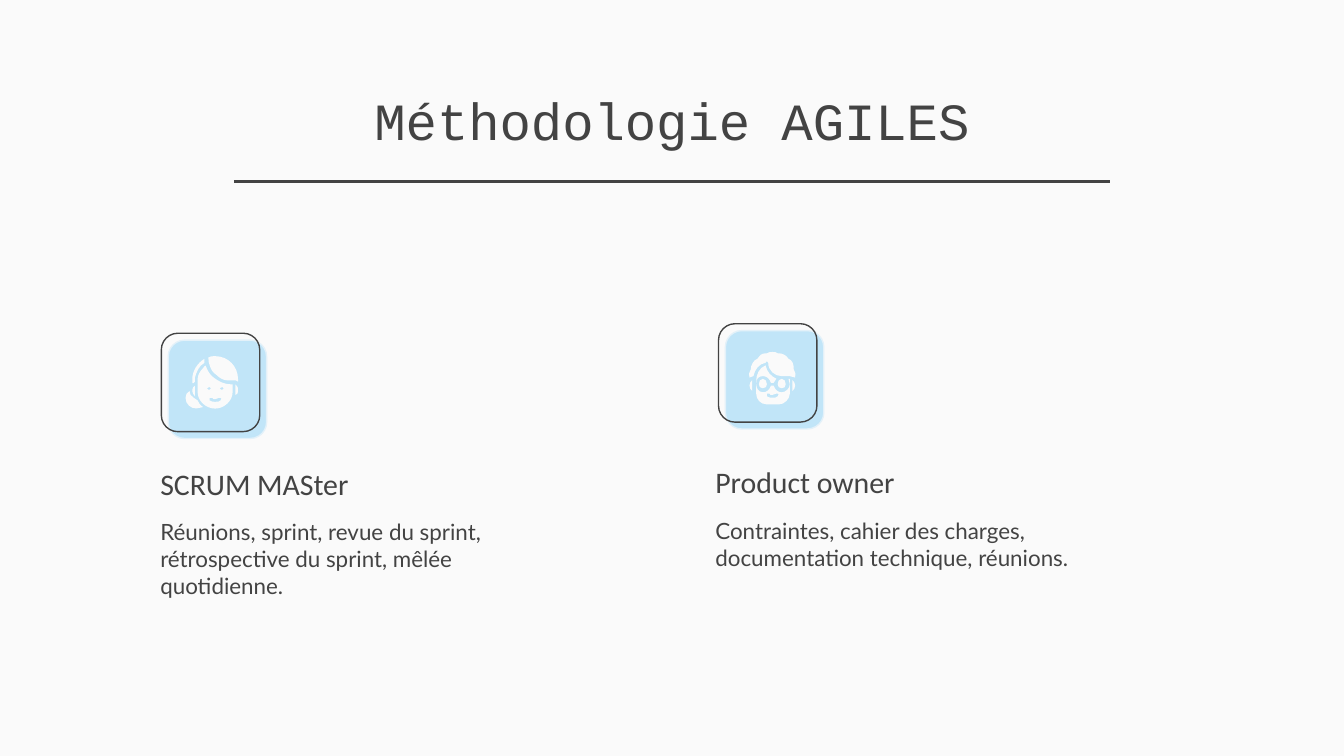
from lxml import etree
from pptx import Presentation
from pptx.dml.color import RGBColor
from pptx.enum.shapes import MSO_CONNECTOR, MSO_SHAPE
from pptx.enum.text import MSO_ANCHOR, MSO_AUTO_SIZE, PP_ALIGN
from pptx.oxml.ns import qn
from pptx.util import Cm, Pt

ROUNDED = MSO_SHAPE.ROUNDED_RECTANGLE
STRAIGHT = MSO_CONNECTOR.STRAIGHT
TOP, BOTTOM = MSO_ANCHOR.TOP, MSO_ANCHOR.BOTTOM
LEFT, CENTER = PP_ALIGN.LEFT, PP_ALIGN.CENTER
NO_FIT = MSO_AUTO_SIZE.NONE

INK, PAPER, SKY, EDGE = "434343", "FAFAFA", "C1E5F8", "E3F1F9"
TILE = 1.86
UNIT = 0.0254
FINE = 100
COMMANDS = {"M": ("a:moveTo", 1), "L": ("a:lnTo", 1), "C": ("a:cubicBezTo", 3)}

SMILE = ("M 43 52 L 44 52 C 45 52 45 53 44 54 C 43 55 42 55 40 55 C 39 55 37 55 36 54 "
         "C 36 53 36 52 36 52 L 38 52 C 38 53 39 53 40 53 C 41 53 42 53 43 52")
EYE = ("M 36 40 C 36 40 37 41 37 41 C 37 42 36 42 36 42 L 35 42 C 35 42 34 42 34 41 "
       "C 34 41 35 40 36 40")
LENS = ("M 47 41 C 45 41 44 43 44 45 C 44 47 45 48 47 48 C 49 48 50 47 50 45 "
        "C 50 43 49 41 47 41")


def parse_outline(text, dx=0, dy=0):
    tokens = text.split()
    steps = []
    i = 0
    while i < len(tokens):
        tag, count = COMMANDS[tokens[i]]
        values = [float(t) for t in tokens[i + 1:i + 1 + 2 * count]]
        steps.append((tag, [(px + dx, py + dy) for px, py in zip(values[::2], values[1::2])]))
        i += 1 + 2 * count
    return steps


WOMAN = [
    [parse_outline("M 25 39 C 24 39 23 41 23 42 L 23 43 C 23 44 24 46 25 47")],
    [parse_outline("M 21 43 C 19 44 18 46 18 48 C 18 53 22 56 26 56 C 28 56 29 56 31 55 "
                   "C 29 54 28 52 27 50 L 24 48 C 22 47 21 45 21 43")],
    [parse_outline(EYE), parse_outline(EYE, dx=9.5), parse_outline(SMILE, dy=-4),
     parse_outline("M 33 24 C 33 24 31 25 31 26 C 29 28 27 31 27 34 L 27 44 "
                   "C 27 50 33 56 40 56 C 47 56 53 50 53 44 L 53 38 L 52 38 "
                   "C 47 38 43 36 39 33 C 36 31 34 27 33 24")],
    [parse_outline("M 55 38 L 55 46 C 57 46 57 44 57 42 C 57 41 57 39 55 38")],
    [parse_outline("M 40 17 C 38 17 36 17 35 18 C 35 20 35 22 36 24 C 37 27 38 29 41 31 "
                   "C 43 33 46 35 49 35 L 55 35 C 56 35 57 36 57 36 L 57 34 "
                   "C 57 25 50 17 40 17")],
    [parse_outline("M 32 19 C 27 22 23 28 23 34 L 23 37 L 24 37 L 25 36 L 25 33 "
                   "C 26 29 28 24 32 22 C 32 21 32 20 32 19")],
]
MAN = [
    [parse_outline(LENS)],
    [parse_outline("M 40 21 C 39 21 37 21 36 22 L 35 22 C 32 22 30 24 29 26 "
                   "C 26 27 24 31 24 34 C 23 36 22 38 23 40 C 24 40 25 40 26 39 "
                   "C 27 34 30 30 35 29 C 35 28 35 28 36 28 C 36 28 37 29 37 29 "
                   "C 37 35 42 39 47 39 L 53 39 C 54 39 56 40 57 40 C 58 38 57 36 56 34 "
                   "C 56 30 55 27 52 26 C 51 24 48 22 45 22 L 44 22 C 43 21 42 21 40 21")],
    [parse_outline("M 35 31 C 30 33 28 38 28 43 L 28 44 C 28 41 30 39 33 39 "
                   "C 36 39 38 41 39 44 L 41 44 C 42 43 42 42 43 41 C 39 39 36 36 35 31")],
    [parse_outline(LENS, dx=-14)],
    [parse_outline(SMILE),
     parse_outline("M 28 45 L 28 52 C 28 56 31 60 36 60 L 45 60 C 49 60 53 56 53 52 L 53 45 "
                   "C 53 48 50 51 47 51 C 44 51 42 49 41 46 L 39 46 C 38 49 36 51 33 51 "
                   "C 30 51 28 48 28 45")],
    [parse_outline("M 25 42 C 24 43 23 44 23 46 C 23 48 24 49 25 50")],
    [parse_outline("M 55 42 L 55 50 C 56 49 57 48 57 46 C 57 44 56 43 55 42")],
    [parse_outline("M 52 41 C 52 42 53 44 53 45 L 53 41")],
]

ROLES = [
    {"tile": (3.05, 6.3), "text": (2.78, 8.66), "icon": WOMAN, "name": "SCRUM MASter",
     "tasks": "Réunions, sprint, revue du sprint, rétrospective du sprint, mêlée quotidienne."},
    {"tile": (13.58, 6.12), "text": (13.27, 8.63), "icon": MAN, "name": "Product owner",
     "tasks": "Contraintes, cahier des charges, documentation technique, réunions."},
]


def color(value):
    return RGBColor.from_string(value)


def style(sp, fill=None, line=None):
    sp.shadow.inherit = False
    if fill:
        sp.fill.solid()
        sp.fill.fore_color.rgb = color(fill)
    else:
        sp.fill.background()
    if line:
        sp.line.color.rgb = color(line)
        sp.line.width = Pt(0.75)
    else:
        sp.line.fill.background()


def add_outline(group, x, y, contours):
    points = [pt for steps in contours for _, pts in steps for pt in pts]
    xs, ys = zip(*points)
    left, top = min(xs) * FINE, min(ys) * FINE
    builder = group.shapes.build_freeform(left, top, scale=Cm(UNIT) / FINE)
    builder.add_line_segments([(max(xs) * FINE, max(ys) * FINE)])
    sp = builder.convert_to_shape(Cm(x), Cm(y))
    geometry = sp._element.spPr.find(".//" + qn("a:path"))
    for child in list(geometry):
        geometry.remove(child)
    for steps in contours:
        for tag, pts in steps:
            command = etree.SubElement(geometry, qn(tag))
            for px, py in pts:
                etree.SubElement(command, qn("a:pt"), x=str(round(px * FINE - left)),
                                 y=str(round(py * FINE - top)))
        etree.SubElement(geometry, qn("a:close"))
    style(sp, PAPER)


def set_text(sp, box, text, anchor, align, font):
    sp.left, sp.top, sp.width, sp.height = (Cm(v) for v in box)
    tf = sp.text_frame
    frame = {"word_wrap": True, "auto_size": NO_FIT, "vertical_anchor": anchor}
    frame.update({f"margin_{side}": Cm(0.25) for side in ("left", "top", "right", "bottom")})
    for key, value in frame.items():
        setattr(tf, key, value)
    p = tf.paragraphs[0]
    p.alignment = align
    r = p.add_run()
    r.text = text
    for key, value in font.items():
        setattr(r.font, key, value)
    r.font.color.rgb = color(INK)


def add_text(s, box, *args):
    set_text(s.shapes.add_textbox(*(Cm(v) for v in box)), box, *args)


def add_heading(s, x, y, w, h):
    set_text(s.shapes.title, (x + 1.73, y, w - 3.46, 0.89), "Méthodologie AGILES",
             BOTTOM, CENTER, {"name": "Courier New", "size": Pt(28)})
    rule = s.shapes.add_connector(STRAIGHT, Cm(x), Cm(y + h), Cm(x + w), Cm(y + h))
    rule.line.color.rgb = color(INK)
    rule.line.width = Pt(1.25)
    etree.SubElement(rule._element.spPr, qn("a:effectLst"))


def add_role(s, role):
    x, y = role["tile"]
    for shift, fill, line in ((0.13, SKY, EDGE), (0, None, INK)):
        sp = s.shapes.add_shape(ROUNDED, Cm(x + shift), Cm(y + shift), Cm(TILE), Cm(TILE))
        style(sp, fill, line)
    left, top = role["text"]
    add_text(s, (left, top, 7.06, 1.07), role["name"], BOTTOM, LEFT,
             {"name": "Calibri", "size": Pt(16)})
    add_text(s, (left, top + 0.89, 8.18, 2.31), role["tasks"], TOP, LEFT,
             {"name": "Lato", "size": Pt(12)})
    group = s.shapes.add_group_shape()
    for contours in role["icon"]:
        add_outline(group, x, y, contours)


def main():
    prs = Presentation()
    prs.slide_width, prs.slide_height = Cm(25.4), Cm(14.29)
    s = prs.slides.add_slide(prs.slide_layouts[5])
    s.background.fill.solid()
    s.background.fill.fore_color.rgb = color(PAPER)
    add_heading(s, 4.42, 2.22, 16.56, 1.21)
    for role in ROLES:
        add_role(s, role)
    prs.save("out.pptx")


if __name__ == "__main__":
    main()
